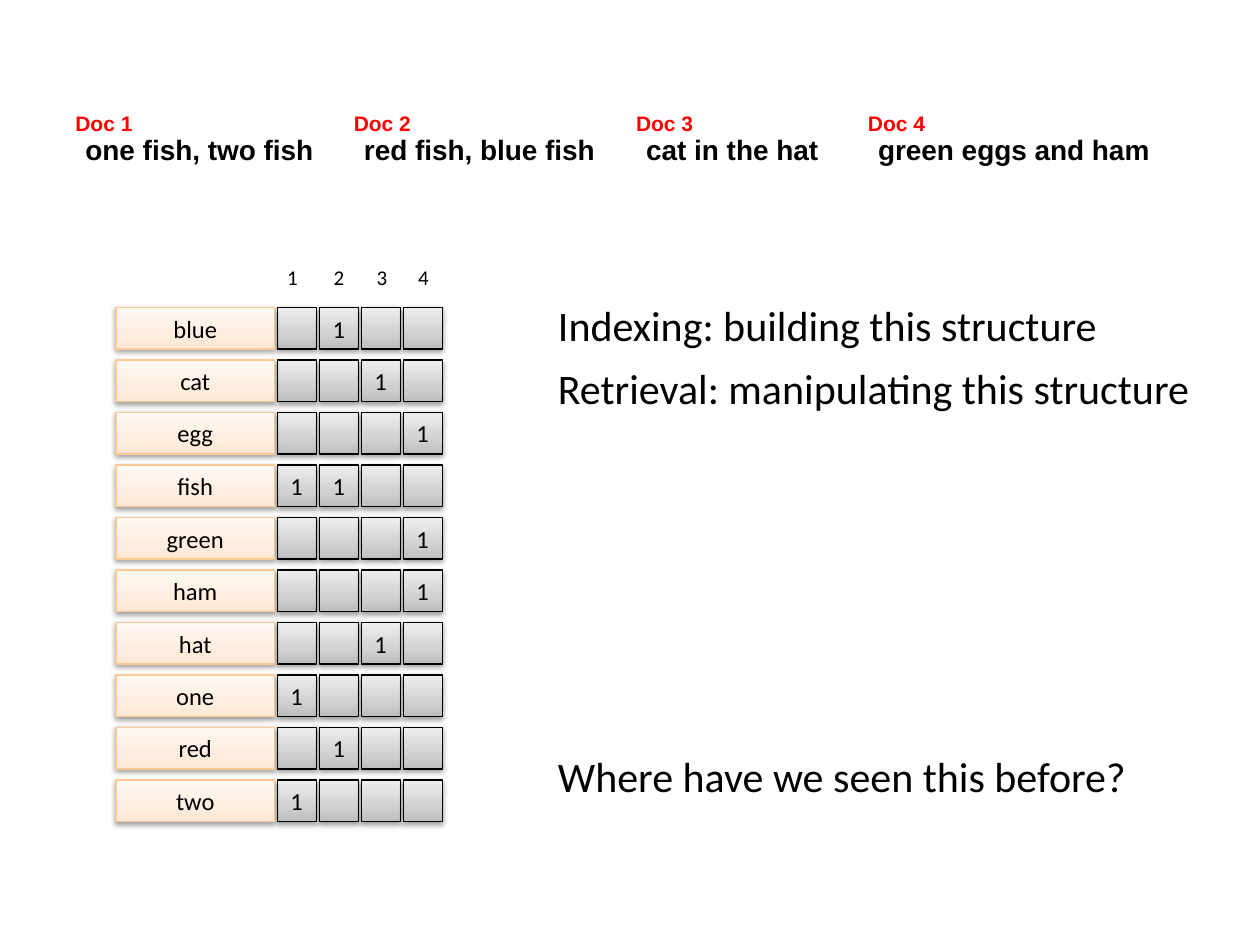
from copy import deepcopy
from dataclasses import dataclass

from lxml import etree
from pptx import Presentation
from pptx.dml.color import RGBColor
from pptx.enum.shapes import MSO_SHAPE
from pptx.enum.text import MSO_ANCHOR, MSO_AUTO_SIZE, PP_ALIGN
from pptx.oxml.ns import qn
from pptx.util import Inches, Pt

RECTANGLE = MSO_SHAPE.RECTANGLE
MIDDLE = MSO_ANCHOR.MIDDLE
CENTER = PP_ALIGN.CENTER
GROW = MSO_AUTO_SIZE.SHAPE_TO_FIT_TEXT
BLANK_LAYOUT = 6


@dataclass(frozen=True)
class Theme:
    ink: str = "000000"
    label: str = "FF0000"
    term_line: str = "FCC893"
    term_fill: tuple = ("FFE7D4", "FFEEE0", "FFF8F3")
    cell_fill: tuple = ("BDBDBD", "D1D1D1", "EEEEEE")
    fill_stops: tuple = (0, 0.35, 1)
    heading_font: str = "Arial"
    body_font: str = "Calibri"
    small: int = 12
    cell: int = 14
    document: int = 16
    statement: int = 24


class SlideBuilder:
    """Holds the theme and the current slide."""

    def __init__(self, deck, theme):
        self.theme = theme
        self.page = deck.slides.add_slide(deck.slide_layouts[BLANK_LAYOUT])

    def add_span(self, box, text, size, font=None, color=None, bold=False):
        span = box.text_frame.paragraphs[0].add_run()
        span.text = text
        values = {"name": font or self.theme.body_font, "size": Pt(size), "bold": bold}
        for name, value in values.items():
            setattr(span.font, name, value)
        span.font.color.rgb = RGBColor.from_string(color or self.theme.ink)

    def label(self, place, text, size, wrap=False, shapes=None, **style):
        shapes = shapes or self.page.shapes
        box = shapes.add_textbox(*map(Inches, place))
        box.text_frame.word_wrap = wrap
        box.text_frame.auto_size = GROW
        self.add_span(box, text, size, **style)

    def document(self, left, width, name, content):
        theme = self.theme
        shapes = self.page.shapes.add_group_shape().shapes
        style = {"shapes": shapes, "font": theme.heading_font, "bold": True}
        self.label((left + 0.08, 1, width, 0.37), content, theme.document, **style)
        self.label((left, 0.83, 0.66, 0.3), name, theme.small, color=theme.label, **style)

    def gradient(self, box, colors):
        box.fill.gradient()
        box.fill.gradient_angle = 90
        stop_list = next(box._element.spPr.iter(qn("a:gsLst")))
        stop_list.append(deepcopy(stop_list[-1]))
        for stop, position, color in zip(box.fill.gradient_stops, self.theme.fill_stops, colors):
            stop.position = position
            stop.color.rgb = RGBColor.from_string(color)

    def shadow(self, box):
        box.shadow.inherit = False
        effects = box._element.spPr.find(qn("a:effectLst"))
        outer = etree.SubElement(effects, qn("a:outerShdw"), blurRad="40000",
                                 dist="20000", dir="5400000", rotWithShape="0")
        color = etree.SubElement(outer, qn("a:srgbClr"), val=self.theme.ink)
        etree.SubElement(color, qn("a:alpha"), val="38000")

    def block(self, left, top, width, text, colors, line):
        box = self.page.shapes.add_shape(
            RECTANGLE, *map(Inches, (left, top, width, 0.33)))
        self.gradient(box, colors)
        box.line.color.rgb = RGBColor.from_string(line)
        box.line.width = Pt(0.75)
        self.shadow(box)
        if text:
            frame = box.text_frame
            frame.word_wrap = False
            frame.vertical_anchor = MIDDLE
            frame.paragraphs[0].alignment = CENTER
            self.add_span(box, text, self.theme.cell)


DOCUMENTS = [
    (0.5, 2.04, "one fish, two fish"),
    (2.71, 2.06, "red fish, blue fish"),
    (4.95, 1.59, "cat in the hat"),
    (6.79, 2.38, "green eggs and ham"),
]
# Each term with the documents that contain it
POSTINGS = {
    "blue": {2}, "cat": {3}, "egg": {4}, "fish": {1, 2}, "green": {4},
    "ham": {4}, "hat": {3}, "one": {1}, "red": {2}, "two": {1},
}
HEADER_LEFTS = [2.18, 2.55, 2.89, 3.22]
STATEMENTS = [
    (2.33, 4.92, "Indexing: building this structure"),
    (2.83, 5.67, "Retrieval: manipulating this structure"),
    (5.91, 5.67, "Where have we seen this before?"),
]
FIRST_ROW, LAST_ROW = 2.44, 6.19
FIRST_COLUMN, LAST_COLUMN = 2.2, 3.2


def main():
    deck = Presentation()
    deck.slide_width, deck.slide_height = Inches(10), Inches(7.5)
    theme = Theme()
    slide = SlideBuilder(deck, theme)

    # Documents
    for number, (left, width, content) in enumerate(DOCUMENTS, 1):
        slide.document(left, width, f"Doc {number}", content)

    # Column numbers
    for number, left in enumerate(HEADER_LEFTS, 1):
        slide.label((left, 2.05, 0.29, 0.3), str(number), theme.small)

    # Term-document matrix
    row_step = (LAST_ROW - FIRST_ROW) / (len(POSTINGS) - 1)
    column_step = (LAST_COLUMN - FIRST_COLUMN) / (len(DOCUMENTS) - 1)
    for row, (term, found_in) in enumerate(POSTINGS.items()):
        top = FIRST_ROW + row * row_step
        for column in range(len(DOCUMENTS)):
            mark = "1" if column + 1 in found_in else ""
            slide.block(FIRST_COLUMN + column * column_step, top, 0.31,
                        mark, theme.cell_fill, theme.ink)
        slide.block(0.92, top, 1.26, term, theme.term_fill, theme.term_line)

    # Statements
    for top, width, content in STATEMENTS:
        slide.label((4.33, top, width, 0.5), content, theme.statement, wrap=True)

    deck.save("out.pptx")


if __name__ == "__main__":
    main()
